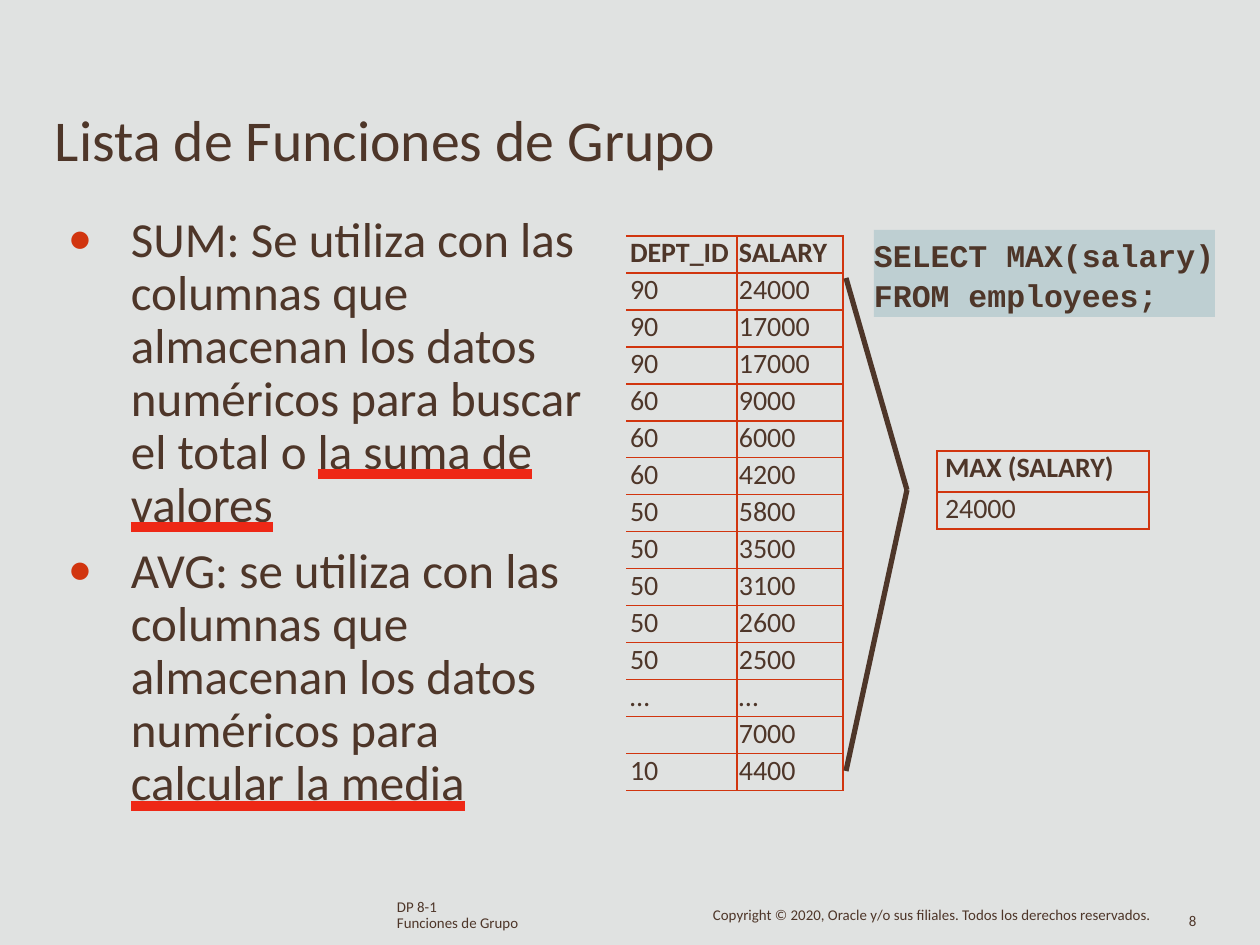
import pptx
import pptx.dml.color
import pptx.enum.shapes
import pptx.enum.text
import pptx.oxml.ns
import pptx.util
from lxml import etree

RGBColor = pptx.dml.color.RGBColor
BACKGROUND = RGBColor(0xE0, 0xE2, 0xE1)
BROWN = RGBColor(0x4E, 0x36, 0x29)
RED = RGBColor(0xD1, 0x35, 0x0F)
UNDERLINE = RGBColor(0xEE, 0x28, 0x16)
CODE_FILL = RGBColor(0x9D, 0xBE, 0xC4)

BULLETS = [
    [("SUM: Se utiliza con las columnas que almacenan los datos numéricos "
      "para buscar el total o ", False), ("la suma de valores", True)],
    [("AVG: se utiliza con las columnas que almacenan los datos numéricos "
      "para ", False), ("calcular la media", True)],
]
SALARIES = [
    ("", ""), ("DEPT_ID", "SALARY"),
    ("90", "24000"), ("90", "17000"), ("90", "17000"),
    ("60", "9000"), ("60", "6000"), ("60", "4200"),
    ("50", "5800"), ("50", "3500"), ("50", "3100"), ("50", "2600"),
    ("50", "2500"), ("…", "…"), ("", "7000"), ("10", "4400"), ("", ""),
]


def px(length):
    return pptx.util.Emu(round(length * 914400 / 126))


def add_element(parent, tag, **attributes):
    name = pptx.oxml.ns.qn("a:" + tag)
    return etree.SubElement(parent, name, attributes)


def add_fill(parent, color):
    add_element(add_element(parent, "solidFill"), "srgbClr", val=str(color))


class SlideBuilder:
    font = "Calibri"
    color = BROWN

    def __init__(self, page):
        self.page = page
        page.background.fill.solid()
        page.background.fill.fore_color.rgb = BACKGROUND

    def style(self, span, size, bold=False, font=None, underlined=False):
        span.font.size = pptx.util.Pt(size)
        span.font.bold = bold
        span.font.color.rgb = self.color
        if underlined:
            span.font.underline = pptx.enum.text.MSO_UNDERLINE.HEAVY_LINE
            add_fill(add_element(span.font._element, "uFill"), UNDERLINE)
        span.font.name = font or self.font

    def prepare(self, frame, top_inset):
        frame.word_wrap = True
        frame.margin_left = frame.margin_right = frame.margin_bottom = 0
        frame.margin_top = px(top_inset)
        frame.vertical_anchor = pptx.enum.text.MSO_ANCHOR.TOP

    def text(self, x, y, width, height, lines, size, top_inset=0, spacing=None):
        """Add plain text, one paragraph a line; spacing is in points."""
        box = self.page.shapes.add_textbox(px(x), px(y), px(width), px(height))
        self.prepare(box.text_frame, top_inset)
        box.text_frame.text = "\n".join(lines)
        for para in box.text_frame.paragraphs:
            if spacing:
                para.line_spacing = pptx.util.Pt(spacing)
            self.style(para.runs[0], size)

    def bullets(self, x, y, width, height, items, size):
        box = self.page.shapes.add_textbox(px(x), px(y), px(width), px(height))
        frame = box.text_frame
        self.prepare(frame, 9)
        for index, item in enumerate(items):
            para = frame.add_paragraph() if index else frame.paragraphs[0]
            properties = para._p.get_or_add_pPr()
            properties.set("marL", str(px(64)))
            properties.set("indent", str(-px(63)))
            bullet_color = add_element(properties, "buClr")
            add_element(bullet_color, "srgbClr", val=str(RED))
            add_element(properties, "buFont", typeface=self.font)
            add_element(properties, "buChar", char="•")
            para.line_spacing = pptx.util.Pt(30.3)
            if index:
                para.space_before = pptx.util.Pt(7.7)
            for words, underlined in item:
                span = para.add_run()
                span.text = words
                self.style(span, size, underlined=underlined)

    def code(self, x, y, width, height, words, size):
        box = self.page.shapes.add_shape(
            pptx.enum.shapes.MSO_SHAPE.RECTANGLE,
            px(x), px(y), px(width), px(height))
        box.shadow.inherit = False
        box.line.fill.background()
        box.fill.solid()
        box.fill.fore_color.rgb = CODE_FILL
        tint = box._element.spPr.find(".//" + pptx.oxml.ns.qn("a:srgbClr"))
        add_element(tint, "alpha", val="50000")
        self.prepare(box.text_frame, 3)
        box.text_frame.text = words
        para = box.text_frame.paragraphs[0]
        para.alignment = pptx.enum.text.PP_ALIGN.LEFT
        para.line_spacing = 1.07
        self.style(para.runs[0], size, bold=True, font="Courier New")

    def line(self, start, end):
        connector = self.page.shapes.add_connector(
            pptx.enum.shapes.MSO_CONNECTOR.STRAIGHT,
            *[px(value) for value in start + end])
        connector.line.color.rgb = self.color
        connector.line.width = pptx.util.Pt(3)
        add_element(connector._element.spPr, "effectLst")

    def borders(self, cell, sides):
        """Draw the sides given as {letter: (color, points)}; hide the others."""
        properties = cell._tc.get_or_add_tcPr()
        for side in "LRTB":
            if side in sides:
                color, points = sides[side]
                edge = add_element(properties, "ln" + side,
                                   w=str(pptx.util.Pt(points)))
                add_fill(edge, color)
            else:
                edge = add_element(properties, "ln" + side, w="0")
                add_element(edge, "noFill")

    def table(self, x, y, widths, heights, rows, header, indent, sides_at):
        shape = self.page.shapes.add_table(
            len(rows), len(widths), px(x), px(y),
            px(sum(widths)), px(sum(heights)))
        table = shape.table
        table.first_row = table.horz_banding = False
        for column, width in zip(table.columns, widths):
            column.width = px(width)
        for r, values in enumerate(rows):
            table.rows[r].height = px(heights[r])
            for c, value in enumerate(values):
                cell = table.cell(r, c)
                cell.margin_left = px(indent)
                cell.margin_right = cell.margin_top = cell.margin_bottom = 0
                self.borders(cell, sides_at(r, c))
                cell.fill.background()
                para = cell.text_frame.paragraphs[0]
                if value:
                    para.text = value
                    self.style(para.runs[0], 16, bold=r == header)
                else:
                    add_element(para._p, "endParaRPr", sz="1000")
        return table


def salary_sides(row, column):
    red, hidden = (RED, 1), (BACKGROUND, 2.25)
    if row == 0:
        return {"L": hidden, "B": red}
    if row == len(SALARIES) - 1:
        return {"L": hidden, "T": red}
    return {"L": red if column else hidden, "T": red, "R": red, "B": red}


def main():
    deck = pptx.Presentation()
    deck.slide_width, deck.slide_height = px(1260), px(945)
    builder = SlideBuilder(deck.slides.add_slide(deck.slide_layouts[6]))

    builder.bullets(67, 205, 518, 606, BULLETS, 28)
    builder.text(55, 103, 872, 73, ["Lista de Funciones de Grupo"], 33, 1)

    heights = [26] + [37] * (len(SALARIES) - 2) + [26]
    salaries = builder.table(628, 210, [109, 106], heights, SALARIES,
                             1, 2, salary_sides)
    for row in (0, len(SALARIES) - 1):
        salaries.cell(row, 0).merge(salaries.cell(row, 1))

    meeting_point = (907, 490)
    builder.line((846, 278), meeting_point)
    builder.line(meeting_point, (846, 771))

    builder.code(874, 230, 341, 87, "SELECT MAX(salary) FROM employees;", 18)

    builder.text(397, 898, 125, 34, ["DP 8-1", "Funciones de Grupo"], 8.5,
                 spacing=9.7)
    builder.text(713, 908, 444, 19,
                 ["Copyright © 2020, Oracle y/o sus filiales. "
                  "Todos los derechos reservados."], 8.5, spacing=9.1)
    builder.text(1189, 908, 24, 25, ["8"], 8.5, 4)

    builder.table(937, 451, [212], [41, 37], [("MAX (SALARY)",), ("24000",)],
                  0, 8, lambda row, column: dict.fromkeys("LRTB", (RED, 1)))
    deck.save("out.pptx")


if __name__ == "__main__":
    main()
